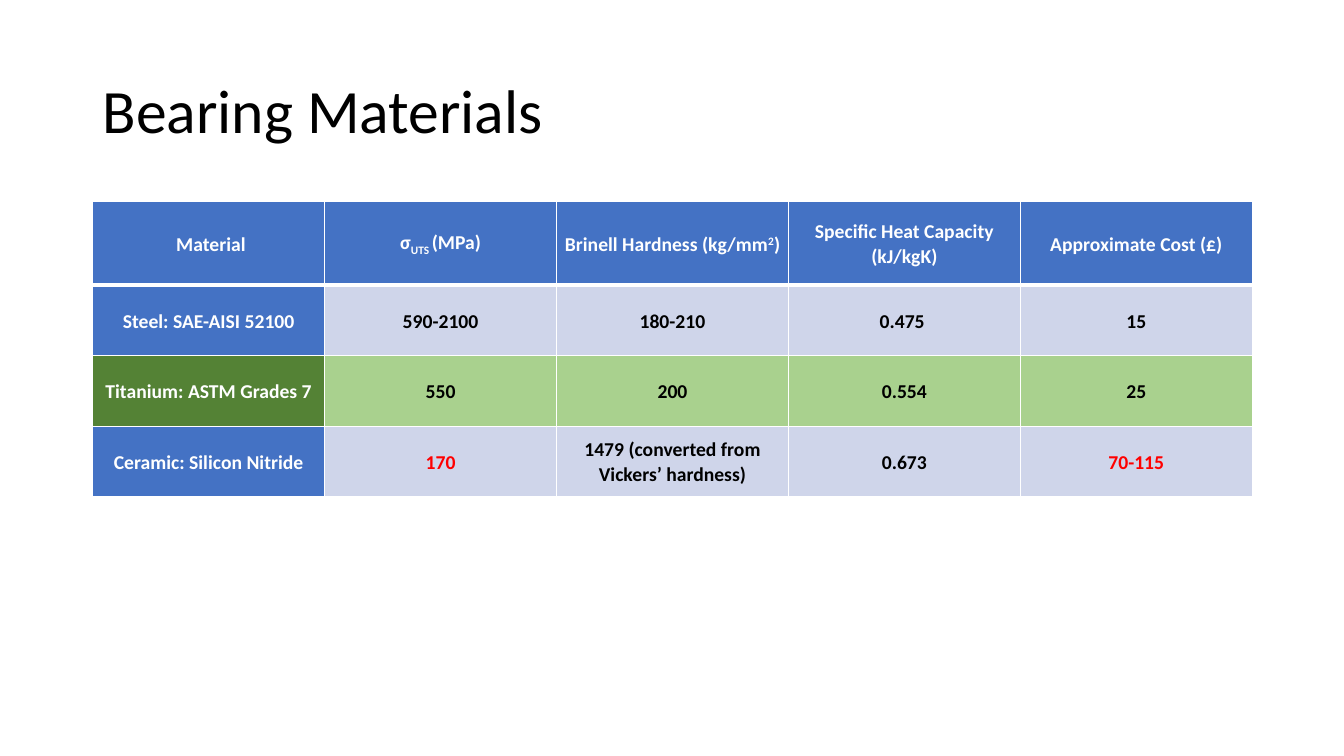
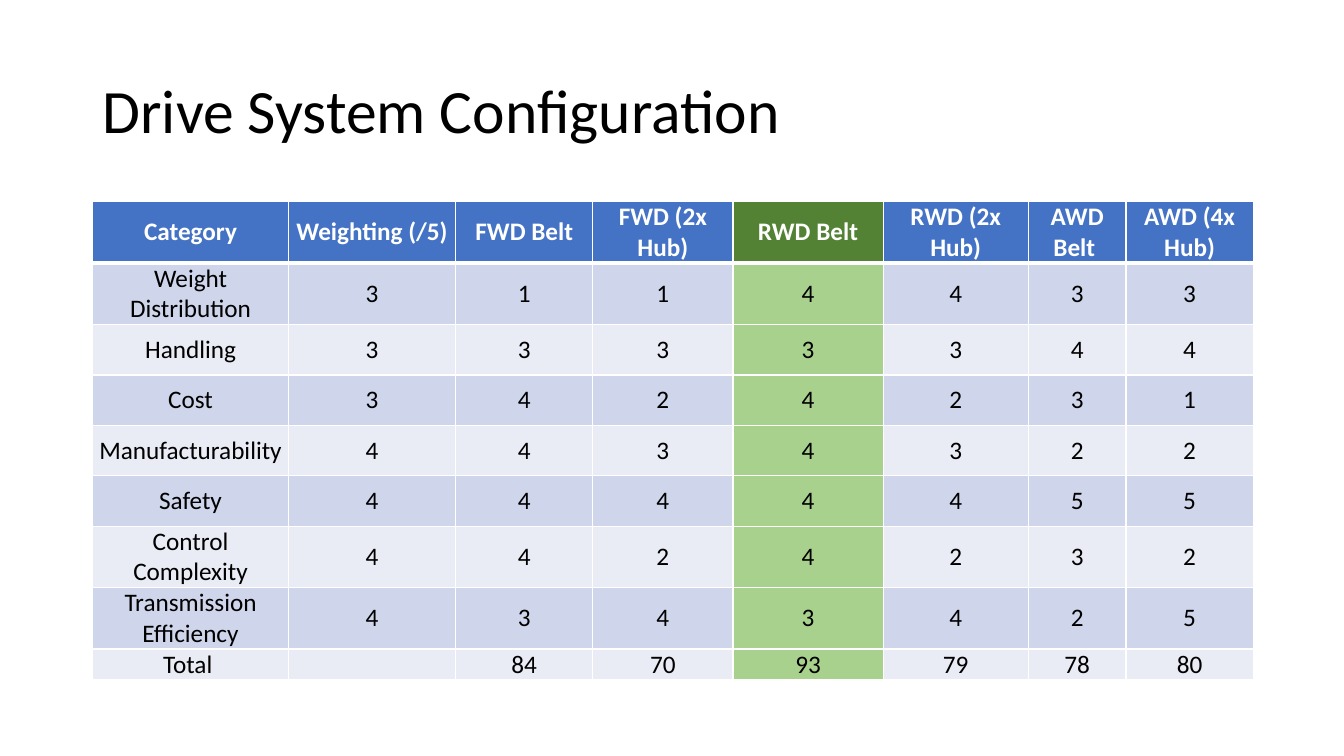
from lxml import etree
from pptx import Presentation
from pptx.dml.color import RGBColor
from pptx.enum.text import MSO_ANCHOR, PP_ALIGN
from pptx.oxml.ns import qn
from pptx.util import Inches, Pt

CENTER = PP_ALIGN.CENTER
MIDDLE = MSO_ANCHOR.MIDDLE

# Shared style
FONT = "Calibri"
BLACK, WHITE, RED = "000000", "FFFFFF", "FF0000"
BLUE, DARK_GREEN, LIGHT_GREEN = "4472C4", "548235", "A9D18E"
BAND, PALE_BAND = "CFD5EA", "E9EBF5"
LEFT, TITLE_TOP, TABLE_TOP = 0.92, 0.4, 2
WIDTH, TITLE_HEIGHT = 11.5, 1.45
THIN, THICK = 1, 3

# Content: a cell is a string, or a list of (text, baseline in percent) runs
MATERIALS = {
    "title": "Bearing Materials",
    "rows": [
        (" Material", [("σ", 0), ("UTS ", -25), ("(MPa)", 0)],
         [("Brinell Hardness (kg/mm", 0), ("2", 30), (")", 0)],
         "Specific Heat Capacity (kJ/kgK)", "Approximate Cost (£)"),
        ("Steel: SAE-AISI 52100", "590-2100", "180-210", "0.475 ", "15"),
        ("Titanium: ASTM Grades 7", "550", "200", "0.554", "25"),
        ("Ceramic: Silicon Nitride", "170",
         "1479 (converted from Vickers’ hardness)", "0.673", "70-115"),
    ],
    "widths": [2.3] * 5,
    "heights": [0.83, 0.7, 0.7, 0.7],
    "size": 14,
    "line_spacing": 1.07,
    "bold_body": True,
    "header_column": True,
    "bands": (BAND, BAND),
    "best_row": 2,
    "best_column": None,
    "warnings": {(3, 1), (3, 4)},
}
DRIVES = {
    "title": "Drive System Configuration",
    "rows": [
        ("Category", "Weighting (/5)", "FWD Belt", "FWD (2x Hub)", "RWD Belt",
         "RWD (2x Hub)", "AWD Belt ", "AWD (4x Hub)"),
        ("Weight Distribution", 3, 1, 1, 4, 4, 3, 3),
        ("Handling", 3, 3, 3, 3, 3, 4, 4),
        ("Cost", 3, 4, 2, 4, 2, 3, 1),
        ("Manufacturability", 4, 4, 3, 4, 3, 2, 2),
        ("Safety", 4, 4, 4, 4, 4, 5, 5),
        ("Control Complexity", 4, 4, 2, 4, 2, 3, 2),
        ("Transmission Efficiency", 4, 3, 4, 3, 4, 2, 5),
        ("Total ", "", 84, 70, 93, 79, 78, 80),
    ],
    "widths": [1.94, 1.66, 1.36, 1.39, 1.49, 1.44, 0.97, 1.26],
    "heights": [0.61, 0.61, 0.5, 0.5, 0.5, 0.5, 0.61, 0.61, 0.3],
    "size": 18,
    "line_spacing": 1.0,
    "bold_body": False,
    "header_column": False,
    "bands": (BAND, PALE_BAND),
    "best_row": None,
    "best_column": 4,
    "warnings": set(),
}


def rgb(value):
    return RGBColor.from_string(value)


def style_font(font, size, color, bold=False):
    font.name = FONT
    font.size = Pt(size)
    font.bold = bold
    font.color.rgb = rgb(color)


def add_title(slide, text):
    box = slide.shapes.add_textbox(Inches(LEFT), Inches(TITLE_TOP),
                                   Inches(WIDTH), Inches(TITLE_HEIGHT))
    frame = box.text_frame
    frame.word_wrap = True
    frame.vertical_anchor = MIDDLE
    frame.text = text
    paragraph = frame.paragraphs[0]
    paragraph.line_spacing = 0.9
    style_font(paragraph.runs[0].font, 44, BLACK)


def set_borders(cell, row):
    """White rules, with a thick one between the header and the body."""
    widths = {"L": THIN, "R": THIN,
              "T": THICK if row == 1 else THIN,
              "B": THICK if row == 0 else THIN}
    properties = cell._tc.get_or_add_tcPr()
    for side, width in widths.items():
        line = etree.SubElement(properties, qn(f"a:ln{side}"), w=str(Pt(width)))
        fill = etree.SubElement(line, qn("a:solidFill"))
        etree.SubElement(fill, qn("a:srgbClr"), val=WHITE)


def cell_colors(data, row, column):
    """Return the fill and text colours of one cell."""
    header = row == 0 or (data["header_column"] and column == 0)
    best = row == data["best_row"] or column == data["best_column"]
    if header:
        return (DARK_GREEN if best else BLUE), WHITE
    fill = LIGHT_GREEN if best else data["bands"][(row - 1) % 2]
    return fill, RED if (row, column) in data["warnings"] else BLACK


def fill_cell(cell, content, data, row, column):
    fill, color = cell_colors(data, row, column)
    set_borders(cell, row)
    cell.fill.solid()
    cell.fill.fore_color.rgb = rgb(fill)
    cell.margin_left = cell.margin_right = 0
    cell.margin_top = cell.margin_bottom = 0
    cell.vertical_anchor = MIDDLE

    paragraph = cell.text_frame.paragraphs[0]
    paragraph.alignment = CENTER
    paragraph.line_spacing = data["line_spacing"]
    bold = row == 0 or data["bold_body"]
    style_font(paragraph.font, data["size"], color, bold)
    pieces = content if isinstance(content, list) else [(str(content), 0)]
    for text, baseline in pieces:
        if not text:
            continue
        run = paragraph.add_run()
        run.text = text
        style_font(run.font, data["size"], color, bold)
        if baseline:
            run._r.get_or_add_rPr().set("baseline", str(baseline * 1000))


def add_data_table(slide, data):
    rows, widths, heights = data["rows"], data["widths"], data["heights"]
    table = slide.shapes.add_table(
        len(rows), len(widths), Inches(LEFT), Inches(TABLE_TOP),
        Inches(sum(widths)), Inches(sum(heights))).table
    table.horz_banding = False
    for column, width in zip(table.columns, widths):
        column.width = Inches(width)
    for table_row, height in zip(table.rows, heights):
        table_row.height = Inches(height)
    for row, contents in enumerate(rows):
        for column, content in enumerate(contents):
            fill_cell(table.cell(row, column), content, data, row, column)


def main():
    presentation = Presentation()
    presentation.slide_width = Inches(13.33)
    presentation.slide_height = Inches(7.5)
    blank = presentation.slide_layouts[6]
    for data in (MATERIALS, DRIVES):
        slide = presentation.slides.add_slide(blank)
        add_title(slide, data["title"])
        add_data_table(slide, data)
    presentation.save("out.pptx")


if __name__ == "__main__":
    main()
